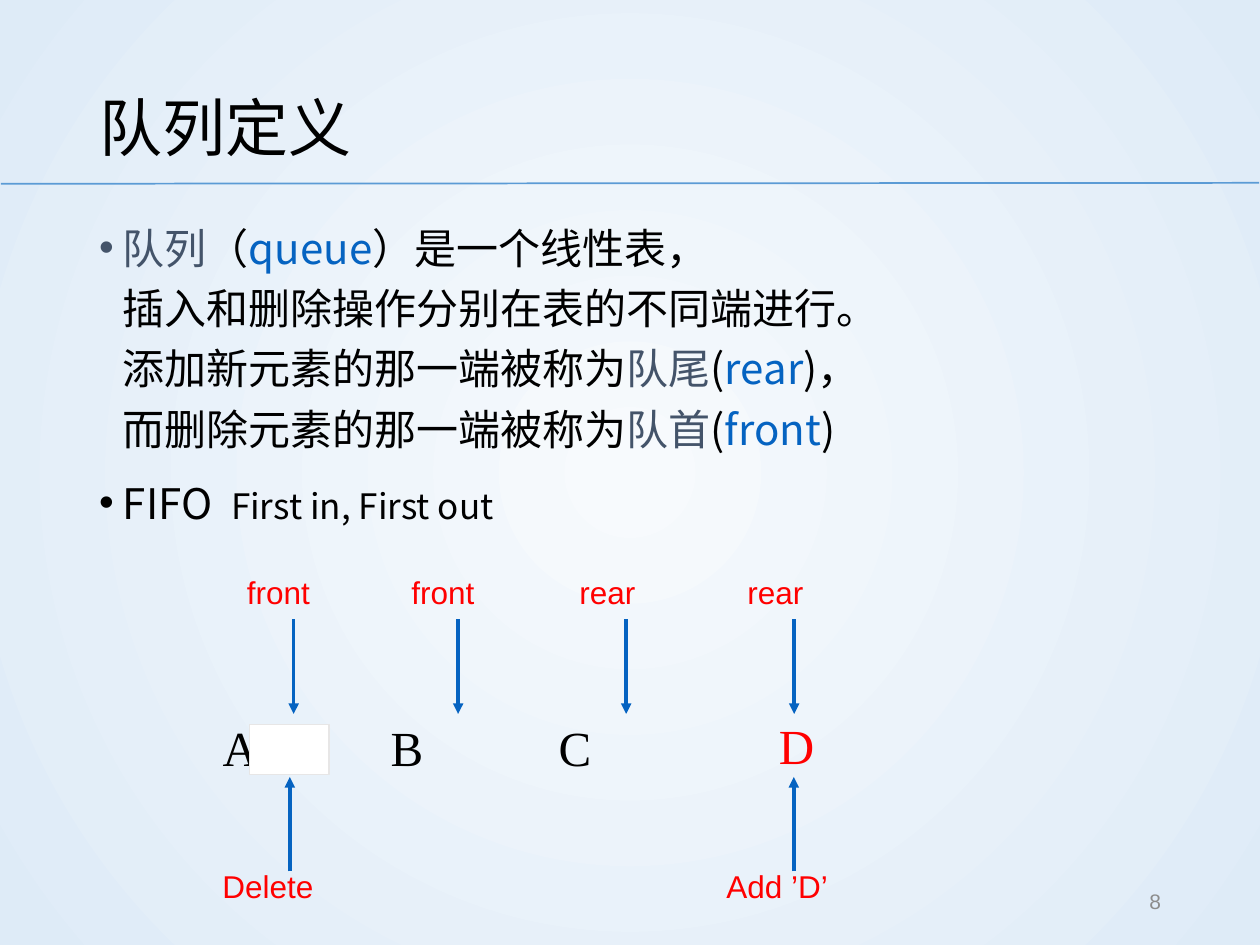
from lxml.etree import SubElement
from pptx import Presentation
from pptx.dml.color import RGBColor
from pptx.enum.shapes import MSO_CONNECTOR as Connector, MSO_SHAPE as Shape
from pptx.enum.text import MSO_ANCHOR as Anchor, MSO_AUTO_SIZE as AutoSize, PP_ALIGN as Align
from pptx.oxml.ns import qn
from pptx.util import Pt

THEME = {
    "text": "000000", "term": "44546A", "english": "0563C1", "label": "FF0000",
    "number": "8C8C8C", "rule": "5B9BD5", "arrow": "0563C1",
    "cover": "FFFFFF", "cover_line": "E7E6E6", "center": "F7FAFD", "edge": "DEEBF7",
    "cjk": "Noto Sans CJK SC", "sans": "Arial", "serif": "Times New Roman",
    "title_size": 36, "body_size": 24, "small_size": 20,
    "element_size": 28, "label_size": 18, "number_size": 12,
}

TITLE = "队列定义"
# Each bullet is a list of (text, colour, size); a newline is a line break.
BULLETS = [
    [("队列", "term", "body_size"),
     ("（", "text", "body_size"),
     ("queue", "english", "body_size"),
     ("）是一个线性表，\n插入和删除操作分别在表的不同端进行。\n添加新元素的那一端被称为", "text", "body_size"),
     ("队尾", "term", "body_size"),
     ("(", "text", "body_size"),
     ("rear", "english", "body_size"),
     (")，\n而删除元素的那一端被称为", "text", "body_size"),
     ("队首", "term", "body_size"),
     ("(", "text", "body_size"),
     ("front", "english", "body_size"),
     (")", "text", "body_size")],
    [("FIFO  ", "text", "body_size"), ("First in, First out", "text", "small_size")],
]
ELEMENTS = ["A", "B", "C", "", ""]
POINTERS = [("front", 134), ("front", 228), ("rear", 324), ("rear", 420)]
OPERATIONS = [("Delete", 120), ("Add ’D’", 408)]

TABLE_LEFT, TABLE_TOP, CELL_WIDTH, CELL_HEIGHT = 120, 408, 96, 40.5
NO_STYLE_NO_GRID = "{2D5ABB26-0587-4C30-8999-92F81FD0307C}"


def color(name):
    return RGBColor.from_string(THEME[name])


def box(left, top, width, height):
    return [Pt(value) for value in (left, top, width, height)]


def place(shape, *bounds):
    shape.left, shape.top, shape.width, shape.height = box(*bounds)


def set_format(target, **values):
    for name, value in values.items():
        setattr(target, name, value)


def add_run(paragraph, text, color_name, size, font="cjk"):
    """Add formatted text, turning newlines into line breaks."""
    for index, line in enumerate(text.split("\n")):
        if index:
            paragraph.add_line_break()
        run = paragraph.add_run()
        run.text = line
        set_format(run.font, name=THEME[font], size=Pt(THEME[size]), bold=False)
        run.font.color.rgb = color(color_name)
        SubElement(run.font._element, qn("a:ea"), typeface=THEME[font])


def add_text(slide, text, bounds, color_name, size, font, wrap=True, **paragraph_format):
    frame = slide.shapes.add_textbox(*box(*bounds)).text_frame
    frame.word_wrap = wrap
    set_format(frame.paragraphs[0], **paragraph_format)
    add_run(frame.paragraphs[0], text, color_name, size, font)
    return frame


def add_line(slide, start, end, color_name, width, arrow=False):
    line = slide.shapes.add_connector(
        Connector.STRAIGHT, *[Pt(value) for value in (*start, *end)])
    line.line.color.rgb = color(color_name)
    line.line.width = Pt(width)
    if arrow:
        SubElement(line.line._get_or_add_ln(), qn("a:tailEnd"), type="triangle")
    SubElement(line._element.spPr, qn("a:effectLst"))


def fill_background(slide):
    fill = slide.background.fill
    fill.gradient()
    for stop, name, position in zip(fill.gradient_stops, ("center", "edge"), (0, 1)):
        stop.color.rgb = color(name)
        stop.position = position
    gradient = slide._element.find(".//" + qn("a:gradFill"))
    gradient.remove(gradient.find(qn("a:lin")))
    circle = SubElement(gradient, qn("a:path"), path="circle")
    SubElement(circle, qn("a:fillToRect"), l="50000", t="50000", r="50000", b="50000")


def fill_title(title):
    place(title, 49.5, 28.8, 621, 78)
    set_format(title.text_frame, vertical_anchor=Anchor.MIDDLE, auto_size=AutoSize.NONE)
    paragraph = title.text_frame.paragraphs[0]
    set_format(paragraph, alignment=Align.LEFT, line_spacing=1.2, space_before=Pt(0))
    add_run(paragraph, TITLE, "text", "title_size")


def fill_body(body):
    place(body, 49.5, 117.5, 621, 369.5)
    frame = body.text_frame
    frame.auto_size = AutoSize.NONE
    for index, runs in enumerate(BULLETS):
        paragraph = frame.add_paragraph() if index else frame.paragraphs[0]
        set_format(paragraph, line_spacing=1.2, space_before=Pt(7.5 if index else 0))
        properties = paragraph._element.get_or_add_pPr()
        properties.set("marL", str(Pt(13.5)))
        properties.set("indent", str(-Pt(13.5)))
        SubElement(properties, qn("a:buFont"), typeface=THEME["sans"])
        SubElement(properties, qn("a:buChar"), char="•")
        for run in runs:
            add_run(paragraph, *run)


def add_queue(slide):
    table = slide.shapes.add_table(
        1, len(ELEMENTS),
        *box(TABLE_LEFT, TABLE_TOP, CELL_WIDTH * len(ELEMENTS), CELL_HEIGHT)).table
    set_format(table, first_row=False, horz_banding=False)
    table._tbl.tblPr.find(qn("a:tableStyleId")).text = NO_STYLE_NO_GRID
    for cell, element in zip(table.rows[0].cells, ELEMENTS):
        cell.fill.background()
        cell.vertical_anchor = Anchor.MIDDLE
        add_run(cell.text_frame.paragraphs[0], element, "text", "element_size", "serif")


def add_markers(slide):
    for text, left in POINTERS:
        add_text(slide, text, (left, 324, 72, 29), "label", "label_size", "sans")
        x = left + 33.8
        add_line(slide, (x, 354), (x, 408), "arrow", 2, arrow=True)
    for text, left in OPERATIONS:
        add_text(slide, text, (left, 492, 96, 29), "label", "label_size", "sans")
        x = left + 45.6
        add_line(slide, (x, 498), (x, 444), "arrow", 2, arrow=True)


def add_cover(slide):
    """Hide the deleted element."""
    cover = slide.shapes.add_shape(Shape.RECTANGLE, *box(142.5, 414, 45.5, 28.5))
    cover.shadow.inherit = False
    cover.fill.solid()
    cover.fill.fore_color.rgb = color("cover")
    cover.line.color.rgb = color("cover_line")
    cover.line.width = Pt(0.75)


def main():
    presentation = Presentation()
    set_format(presentation, slide_width=Pt(720), slide_height=Pt(540))
    slide = presentation.slides.add_slide(presentation.slide_layouts[1])
    fill_background(slide)
    add_line(slide, (0.5, 105), (719.5, 104.5), "rule", 1)
    fill_title(slide.shapes.title)
    fill_body(slide.placeholders[1])
    number = add_text(slide, "8", (508.5, 500.5, 162, 28.8), "number", "number_size",
                      "sans", alignment=Align.RIGHT)
    number.vertical_anchor = Anchor.MIDDLE
    add_queue(slide)
    add_markers(slide)
    add_text(slide, "D", (438, 405.5, 34.5, 41), "label", "element_size", "serif", wrap=False)
    add_cover(slide)
    presentation.save("out.pptx")


if __name__ == "__main__":
    main()
